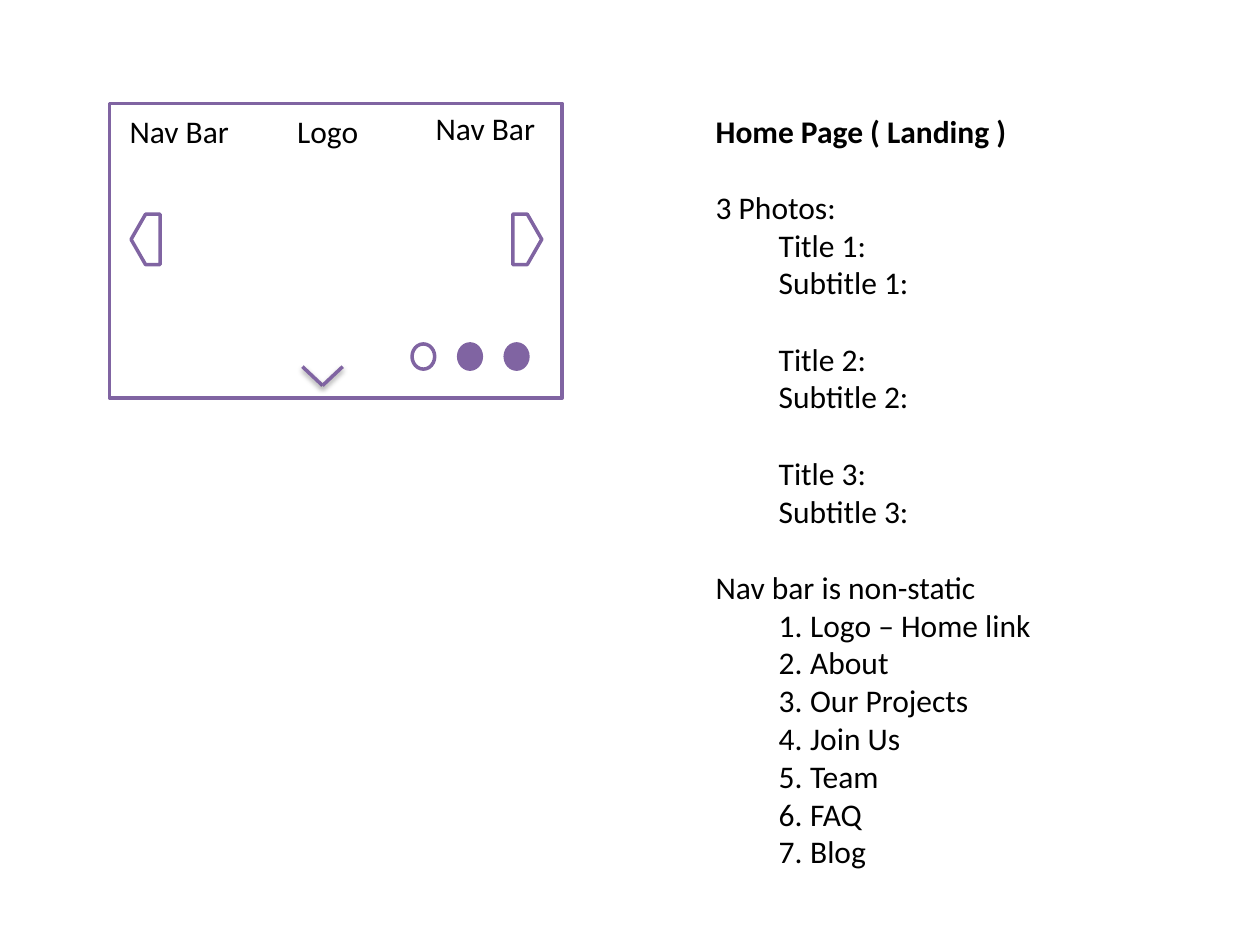
"""Build a wireframe slide of a landing page with its content notes."""
from dataclasses import dataclass
from typing import Optional

from lxml import etree
from pptx import Presentation
from pptx.dml.color import RGBColor
from pptx.enum.shapes import MSO_CONNECTOR, MSO_SHAPE
from pptx.enum.text import MSO_ANCHOR, MSO_AUTO_SIZE, PP_ALIGN
from pptx.oxml.ns import qn
from pptx.util import Inches, Pt

RECTANGLE = MSO_SHAPE.RECTANGLE
ELLIPSE = MSO_SHAPE.OVAL
PENTAGON = MSO_SHAPE.PENTAGON
STRAIGHT = MSO_CONNECTOR.STRAIGHT
TOP = MSO_ANCHOR.TOP
LEFT = PP_ALIGN.LEFT
NO_AUTOFIT = MSO_AUTO_SIZE.NONE

PURPLE = RGBColor(0x80, 0x64, 0xA2)
WHITE = RGBColor(0xFF, 0xFF, 0xFF)
BLACK = RGBColor(0x00, 0x00, 0x00)
FONT = "Calibri"
TEXT_SIZE = Pt(18)
LINE_WIDTH = Pt(2)
GROUP_GAP = Pt(22)
NOTES_LEFT, NOTES_WIDTH = 5.58, 3.8


@dataclass
class Outline:
    kind: MSO_SHAPE
    left: float
    top: float
    width: float
    height: float
    fill: Optional[RGBColor] = WHITE
    rotation: float = 0


@dataclass
class Label:
    text: str
    left: float
    top: float
    width: float


@dataclass
class Note:
    text: str
    indent: float = 0
    starts_group: bool = False
    numbered: bool = False


WIREFRAME = [
    Outline(RECTANGLE, 0.87, 0.82, 3.59, 2.34),
    Outline(PENTAGON, 1.04, 1.7, 0.23, 0.4, rotation=180),
    Outline(PENTAGON, 4.07, 1.7, 0.23, 0.4),
] + [
    Outline(ELLIPSE, 3.27 + 0.37 * position, 2.73, 0.18, 0.2, fill)
    for position, fill in enumerate([None, PURPLE, PURPLE])
]

LABELS = [
    Label("Nav Bar", 0.93, 0.84, 1.2),
    Label("Logo", 2.26, 0.84, 0.71),
    Label("Nav Bar", 3.36, 0.82, 1.0),
]

CHEVRON_TIP = (2.56, 3.06)
CHEVRON_ENDS = [(2.4, 2.91), (2.72, 2.91)]

PAGES = ["Logo – Home link", "About", "Our Projects", "Join Us", "Team", "FAQ", "Blog"]

NOTES = [Note("3 Photos:")]
for number in range(1, 4):
    NOTES += [
        Note(f"Title {number}:", 0.5, starts_group=number > 1),
        Note(f"Subtitle {number}:", 0.5),
    ]
NOTES.append(Note("Nav bar is non-static", starts_group=True))
NOTES += [Note(page, 0.75, numbered=True) for page in PAGES]


def style_paragraph(paragraph, bold: bool = False) -> None:
    """Give a paragraph the common font."""
    paragraph.alignment = LEFT
    paragraph.font.name = FONT
    paragraph.font.size = TEXT_SIZE
    paragraph.font.bold = bold
    paragraph.font.color.rgb = BLACK


def draw_outline(slide, outline: Outline) -> None:
    """Draw one purple-lined part of the wireframe."""
    part = slide.shapes.add_shape(
        outline.kind, Inches(outline.left), Inches(outline.top),
        Inches(outline.width), Inches(outline.height))
    part.shadow.inherit = False
    part.rotation = outline.rotation
    part.line.color.rgb = PURPLE
    part.line.width = LINE_WIDTH
    if outline.fill is None:
        part.fill.background()
    else:
        part.fill.solid()
        part.fill.fore_color.rgb = outline.fill


def draw_label(slide, label: Label) -> None:
    """Write one label in the wireframe's header."""
    frame = slide.shapes.add_textbox(
        Inches(label.left), Inches(label.top),
        Inches(label.width), Inches(0.4)).text_frame
    frame.word_wrap = True
    frame.text = label.text
    style_paragraph(frame.paragraphs[0])


def draw_chevron(slide) -> None:
    """Draw the scroll-down mark as two lines meeting at its tip."""
    for end in CHEVRON_ENDS:
        stroke = slide.shapes.add_connector(
            STRAIGHT, *(Inches(length) for length in end + CHEVRON_TIP))
        stroke.line.color.rgb = PURPLE
        stroke.line.width = LINE_WIDTH


def place_notes(placeholder, top: float, height: float):
    """Move a placeholder into the notes column and return its text frame."""
    placeholder.left, placeholder.top = Inches(NOTES_LEFT), Inches(top)
    placeholder.width, placeholder.height = Inches(NOTES_WIDTH), Inches(height)
    frame = placeholder.text_frame
    frame.auto_size = NO_AUTOFIT
    frame.vertical_anchor = TOP
    return frame


def write_note(paragraph, note: Note) -> None:
    """Write one note with its indent, gap and number."""
    paragraph.text = note.text
    style_paragraph(paragraph)
    paragraph.space_before = GROUP_GAP if note.starts_group else Pt(0)
    properties = paragraph._p.get_or_add_pPr()
    properties.set("marL", str(Inches(note.indent)))
    properties.set("indent", str(Inches(-0.25 if note.numbered else 0)))
    if note.numbered:
        bullet = etree.Element(qn("a:buAutoNum"), type="arabicPeriod")
    else:
        bullet = etree.Element(qn("a:buNone"))
    properties.find(qn("a:defRPr")).addprevious(bullet)


def main() -> None:
    """Build and save the slide."""
    deck = Presentation()
    deck.slide_width, deck.slide_height = Inches(10), Inches(7.5)
    slide = deck.slides.add_slide(deck.slide_layouts[1])

    heading = place_notes(slide.shapes.title, 0.84, 0.4)
    heading.text = "Home Page ( Landing )"
    style_paragraph(heading.paragraphs[0], bold=True)

    body = place_notes(slide.placeholders[1], 1.44, 5.6)
    for position, note in enumerate(NOTES):
        write_note(body.add_paragraph() if position else body.paragraphs[0], note)

    for outline in WIREFRAME:
        draw_outline(slide, outline)
    for label in LABELS:
        draw_label(slide, label)
    draw_chevron(slide)
    deck.save("out.pptx")


if __name__ == "__main__":
    main()
